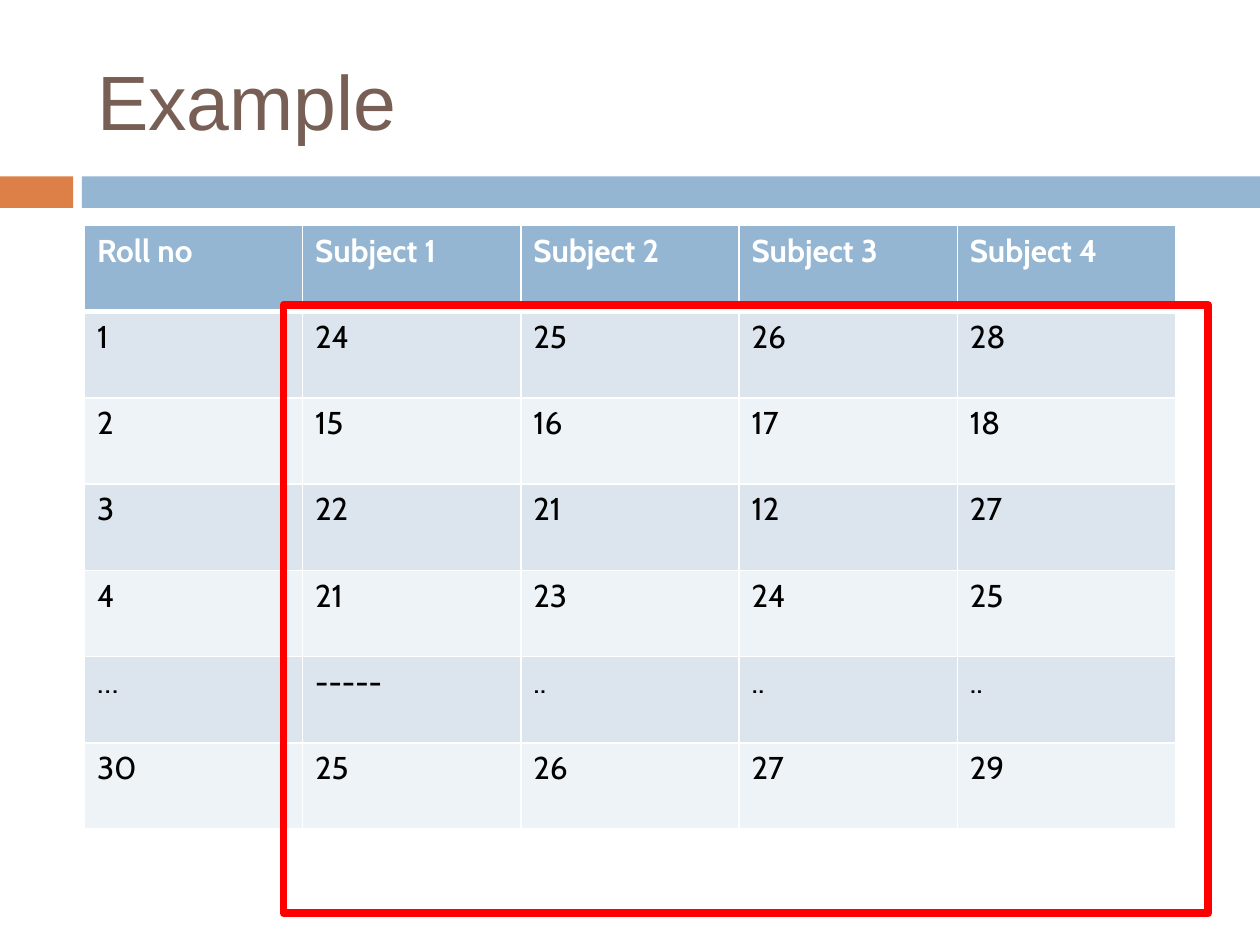
"""Build a slide with a table of marks per subject and a frame around the marks."""
from dataclasses import dataclass

import lxml.etree
import pptx
import pptx.dml.color
import pptx.enum.shapes
import pptx.enum.text
import pptx.oxml.ns
import pptx.util


@dataclass(frozen=True)
class Theme:
    title_font: str = "Arial"
    body_font: str = "Cabin"
    title_size: float = 44
    body_size: float = 18
    title: str = "775F55"
    accent: str = "DD8047"
    header: str = "94B6D2"
    bands: tuple = ("DCE5EE", "EEF3F7")
    text: str = "000000"
    white: str = "FFFFFF"
    frame: str = "FF0000"
    frame_width: float = 4.5
    rule: float = 1
    header_rule: float = 3


class Deck:
    COLS, ROWS = 100, 75

    def __init__(self, theme):
        self.theme = theme
        self.prs = pptx.Presentation()
        self.prs.slide_width = pptx.util.Inches(10)
        self.prs.slide_height = pptx.util.Inches(7.5)
        self.s = self.prs.slides.add_slide(self.prs.slide_layouts[5])

    def box(self, x, y, w, h):
        col = self.prs.slide_width / self.COLS
        row = self.prs.slide_height / self.ROWS
        return [round(v) for v in (x * col, y * row, w * col, h * row)]

    def rgb(self, color):
        return pptx.dml.color.RGBColor.from_string(color)

    def run(self, p, text, font, size, color, bold=False):
        r = p.add_run()
        r.text = text
        r.font.name = font
        r.font.size = pptx.util.Pt(size)
        r.font.bold = bold
        r.font.color.rgb = self.rgb(color)

    def title(self, text, *area):
        sp = self.s.shapes.title
        sp.left, sp.top, sp.width, sp.height = self.box(*area)
        tf = sp.text_frame
        tf.vertical_anchor = pptx.enum.text.MSO_ANCHOR.MIDDLE
        p = tf.paragraphs[0]
        p.alignment = pptx.enum.text.PP_ALIGN.LEFT
        self.run(p, text, self.theme.title_font, self.theme.title_size, self.theme.title)

    def rect(self, *area, fill=None, line=None):
        kind = pptx.enum.shapes.MSO_SHAPE.RECTANGLE
        sp = self.s.shapes.add_shape(kind, *self.box(*area))
        sp.shadow.inherit = False
        if fill:
            sp.fill.solid()
            sp.fill.fore_color.rgb = self.rgb(fill)
        else:
            sp.fill.background()
        if line:
            sp.line.color.rgb = self.rgb(line)
            sp.line.width = pptx.util.Pt(self.theme.frame_width)
        else:
            sp.line.fill.background()

    def borders(self, cell, **widths):
        qn = pptx.oxml.ns.qn
        tcPr = cell._tc.get_or_add_tcPr()
        for i, side in enumerate("LRTB"):
            width = pptx.util.Pt(widths.get(side, self.theme.rule))
            ln = lxml.etree.Element(qn(f"a:ln{side}"), w=str(width))
            fill = lxml.etree.SubElement(ln, qn("a:solidFill"))
            lxml.etree.SubElement(fill, qn("a:srgbClr"), val=self.theme.white)
            tcPr.insert(i, ln)

    def table(self, rows, *area):
        t = self.theme
        x, y, w, h = self.box(*area)
        table = self.s.shapes.add_table(len(rows), len(rows[0]), x, y, w, h).table
        for col in table.columns:
            col.width = w // len(rows[0])
        for i, values in enumerate(rows):
            table.rows[i].height = h // len(rows)
            head = i == 0
            thick = {0: {"B": t.header_rule}, 1: {"T": t.header_rule}}.get(i, {})
            for j, value in enumerate(values):
                cell = table.cell(i, j)
                cell.fill.solid()
                cell.fill.fore_color.rgb = self.rgb(t.header if head else t.bands[(i - 1) % 2])
                self.borders(cell, **thick)
                p = cell.text_frame.paragraphs[0]
                self.run(p, value, t.body_font, t.body_size, t.white if head else t.text, head)


def main():
    theme = Theme()
    deck = Deck(theme)
    marks = [
        ["Roll no"] + [f"Subject {n}" for n in range(1, 5)],
        ["1", "24", "25", "26", "28"],
        ["2", "15", "16", "17", "18"],
        ["3", "22", "21", "12", "27"],
        ["4", "21", "23", "24", "25"],
        ["…", "-----", "..", "..", ".."],
        ["30", "25", "26", "27", "29"],
    ]
    deck.rect(0, 14, 5.8, 2.5, fill=theme.accent)
    deck.rect(6.5, 14, 93.5, 2.5, fill=theme.header)
    deck.title("Example", 6.7, 2.5, 89.2, 10.8)
    deck.table(marks, 6.7, 17.9, 86.6, 47.9)
    deck.rect(22.5, 24.2, 73.4, 48.3, line=theme.frame)
    deck.prs.save("out.pptx")


if __name__ == "__main__":
    main()
